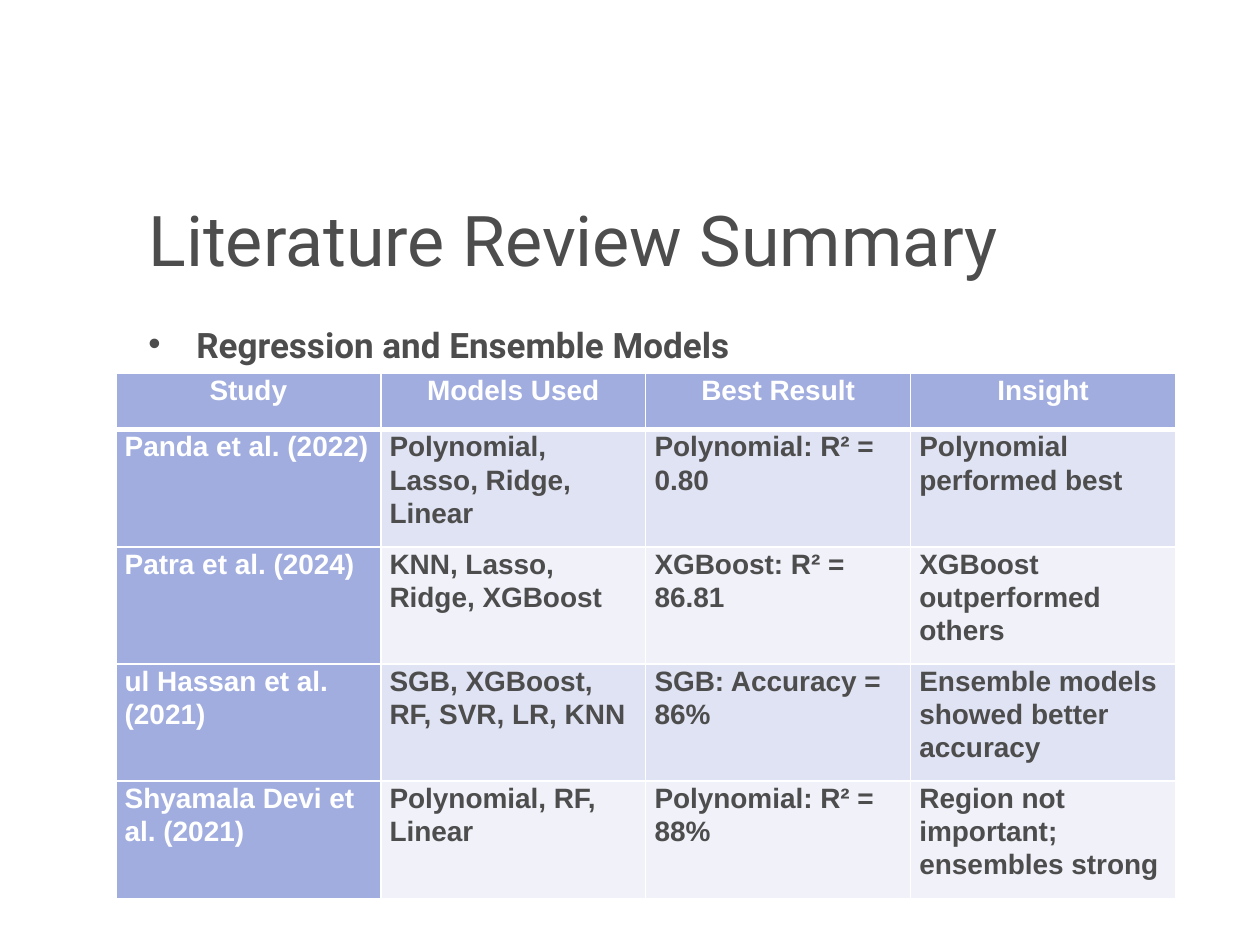
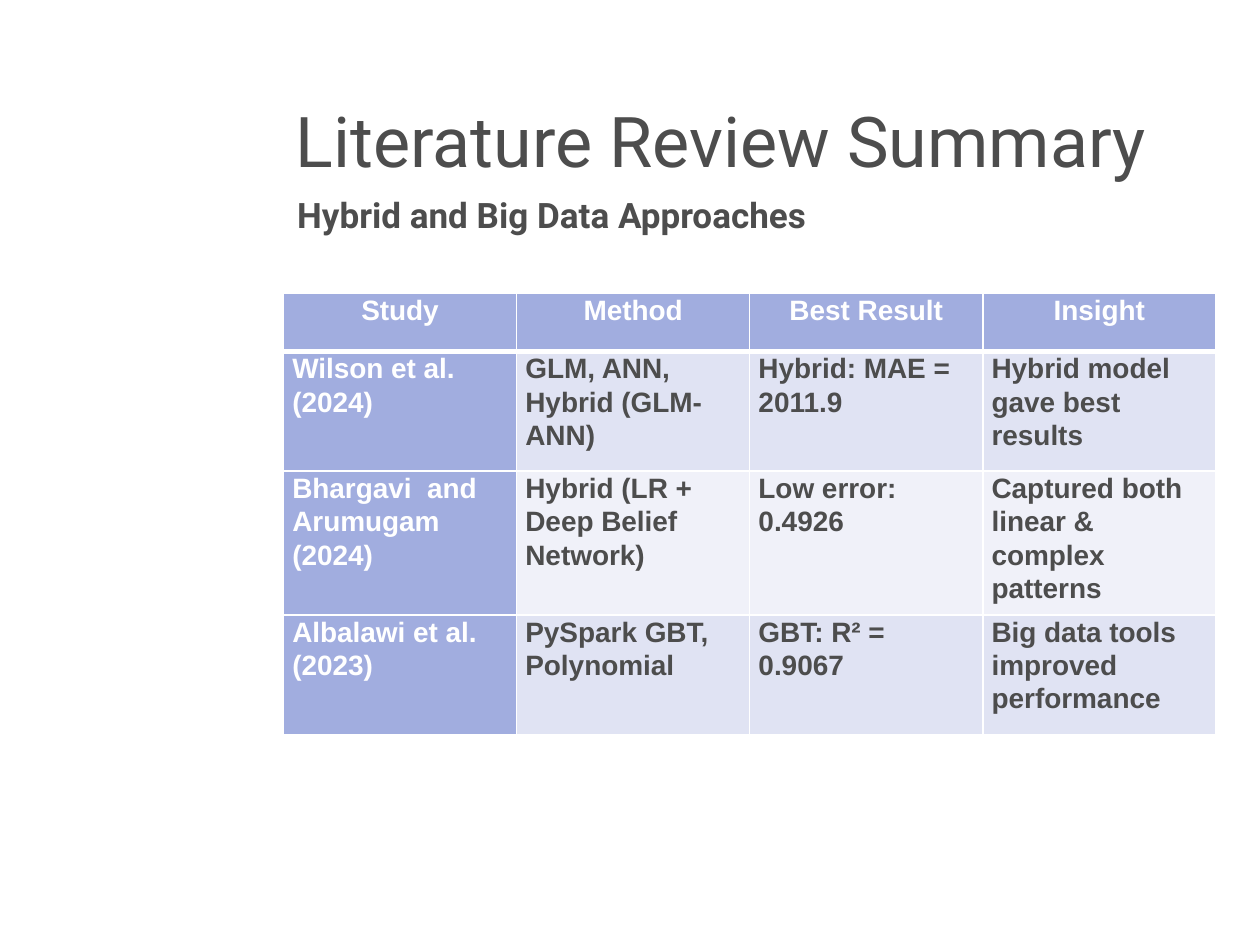
from dataclasses import dataclass

from lxml import etree
from pptx import Presentation
from pptx.dml.color import RGBColor
from pptx.enum.text import MSO_ANCHOR, PP_ALIGN
from pptx.oxml.ns import qn
from pptx.util import Inches, Pt

LEFT, CENTER = PP_ALIGN.LEFT, PP_ALIGN.CENTER
TOP, MIDDLE = MSO_ANCHOR.TOP, MSO_ANCHOR.MIDDLE
SLIDE_WIDTH, SLIDE_HEIGHT = Inches(10), Inches(7.5)
GRID_COLUMNS, GRID_ROWS = 100, 75
BLANK_LAYOUT = 6


@dataclass(frozen=True)
class Theme:
    ink: str = "4D4D4D"
    white: str = "FFFFFF"
    accent: str = "A1ADDF"
    bands: tuple = ("E0E3F3", "F0F1F9")
    heading_font: str = "Roboto"
    table_font: str = "Arial"
    title_size: int = 40
    subtitle_size: int = 20
    table_size: int = 16
    border: int = 1
    header_border: int = 3


@dataclass(frozen=True)
class Box:
    column: float
    row: float
    columns: float
    rows: float

    def place(self):
        return (
            across(self.column),
            down(self.row),
            across(self.columns),
            down(self.rows),
        )


THEME = Theme()


def across(columns):
    return round(SLIDE_WIDTH * columns / GRID_COLUMNS)


def down(rows):
    return round(SLIDE_HEIGHT * rows / GRID_ROWS)


def add_run(paragraph, text, font, size, color, bold=False):
    run = paragraph.add_run()
    run.text = text
    run.font.name = font
    run.font.size = Pt(size)
    run.font.bold = bold
    run.font.color.rgb = RGBColor.from_string(color)


def add_text_frame(slide, box, anchor):
    frame = slide.shapes.add_textbox(*box.place()).text_frame
    frame.word_wrap = True
    frame.vertical_anchor = anchor
    return frame


def add_title(slide, box, text):
    paragraph = add_text_frame(slide, box, MIDDLE).paragraphs[0]
    add_run(paragraph, text, THEME.heading_font, THEME.title_size, THEME.ink)


def add_bullet(paragraph):
    properties = paragraph._p.get_or_add_pPr()
    indent = across(3.8)
    properties.set("marL", str(indent))
    properties.set("indent", str(-indent))
    etree.SubElement(properties, qn("a:buFont"), typeface=THEME.table_font)
    etree.SubElement(properties, qn("a:buChar"), char="•")


def add_subtitle(slide, box, text, bulleted):
    paragraph = add_text_frame(slide, box, TOP).paragraphs[0]
    paragraph.line_spacing = 0.8
    paragraph.space_before = Pt(THEME.subtitle_size * 0.2)
    if bulleted:
        add_bullet(paragraph)
    add_run(paragraph, text, THEME.heading_font, THEME.subtitle_size, THEME.ink, True)


def set_borders(cell, row):
    widths = {
        "L": THEME.border,
        "R": THEME.border,
        "T": THEME.header_border if row == 1 else THEME.border,
        "B": THEME.header_border if row == 0 else THEME.border,
    }
    properties = cell._tc.get_or_add_tcPr()
    for side, width in widths.items():
        line = etree.SubElement(properties, qn(f"a:ln{side}"), w=str(Pt(width)))
        fill = etree.SubElement(line, qn("a:solidFill"))
        etree.SubElement(fill, qn("a:srgbClr"), val=THEME.white)


def fill_cell(cell, text, row, column):
    is_header = row == 0 or column == 0
    set_borders(cell, row)
    cell.fill.solid()
    cell.fill.fore_color.rgb = RGBColor.from_string(
        THEME.accent if is_header else THEME.bands[(row - 1) % 2]
    )
    cell.margin_left = cell.margin_right = across(0.7)
    cell.margin_top = cell.margin_bottom = 0
    paragraph = cell.text_frame.paragraphs[0]
    paragraph.alignment = CENTER if row == 0 else LEFT
    paragraph.line_spacing = 1.07
    paragraph.space_after = Pt(8)
    color = THEME.white if is_header else THEME.ink
    add_run(paragraph, text, THEME.table_font, THEME.table_size, color, True)


def add_study_table(slide, box, header_rows, studies):
    row_count, column_count = len(studies), len(studies[0])
    table = slide.shapes.add_table(row_count, column_count, *box.place()).table
    table.horz_banding = False
    study_rows = (box.rows - header_rows) / (row_count - 1)
    for column in table.columns:
        column.width = across(box.columns / column_count)
    for row, texts in enumerate(studies):
        table.rows[row].height = down(study_rows if row else header_rows)
        for column, text in enumerate(texts):
            fill_cell(table.cell(row, column), text, row, column)


def add_review_slide(presentation, title_box, subtitle_box, table_box,
                     subtitle, bulleted, header_rows, studies):
    slide = presentation.slides.add_slide(presentation.slide_layouts[BLANK_LAYOUT])
    add_title(slide, title_box, "Literature Review Summary")
    add_subtitle(slide, subtitle_box, subtitle, bulleted)
    add_study_table(slide, table_box, header_rows, studies)


REGRESSION_STUDIES = [
    ("Study", "Models Used", "Best Result", "Insight"),
    ("Panda et al. (2022)", "Polynomial, Lasso, Ridge, Linear",
     "Polynomial: R² = 0.80", "Polynomial performed best"),
    ("Patra et al. (2024)", "KNN, Lasso, Ridge, XGBoost",
     "XGBoost: R² = 86.81", "XGBoost outperformed others"),
    ("ul Hassan et al. (2021)", "SGB, XGBoost, RF, SVR, LR, KNN",
     "SGB: Accuracy = 86%", "Ensemble models showed better accuracy"),
    ("Shyamala Devi et al. (2021)", "Polynomial, RF, Linear",
     "Polynomial: R² = 88%", "Region not important; ensembles strong"),
]

HYBRID_STUDIES = [
    ("Study", "Method", "Best Result", "Insight"),
    ("Wilson et al. (2024)", "GLM, ANN, Hybrid (GLM-ANN)",
     "Hybrid: MAE = 2011.9", "Hybrid model gave best results"),
    ("Bhargavi  and Arumugam (2024)", "Hybrid (LR + Deep Belief Network)",
     "Low error: 0.4926", "Captured both linear & complex patterns"),
    ("Albalawi et al. (2023)", "PySpark GBT, Polynomial",
     "GBT: R² = 0.9067", "Big data tools improved performance"),
]


def main():
    presentation = Presentation()
    presentation.slide_width = SLIDE_WIDTH
    presentation.slide_height = SLIDE_HEIGHT
    add_review_slide(
        presentation,
        title_box=Box(10.8, 15, 80, 7.8),
        subtitle_box=Box(10.8, 25.8, 80, 6.2),
        table_box=Box(9.2, 29.6, 84.1, 41.7),
        subtitle="Regression and Ensemble Models",
        bulleted=True,
        header_rows=4.5,
        studies=REGRESSION_STUDIES,
    )
    add_review_slide(
        presentation,
        title_box=Box(22.5, 7.2, 75.8, 7.8),
        subtitle_box=Box(22.6, 15.5, 75.8, 5.5),
        table_box=Box(22.5, 23.3, 74, 33.1),
        subtitle="Hybrid and Big Data Approaches",
        bulleted=False,
        header_rows=4.6,
        studies=HYBRID_STUDIES,
    )
    presentation.save("out.pptx")


if __name__ == "__main__":
    main()
